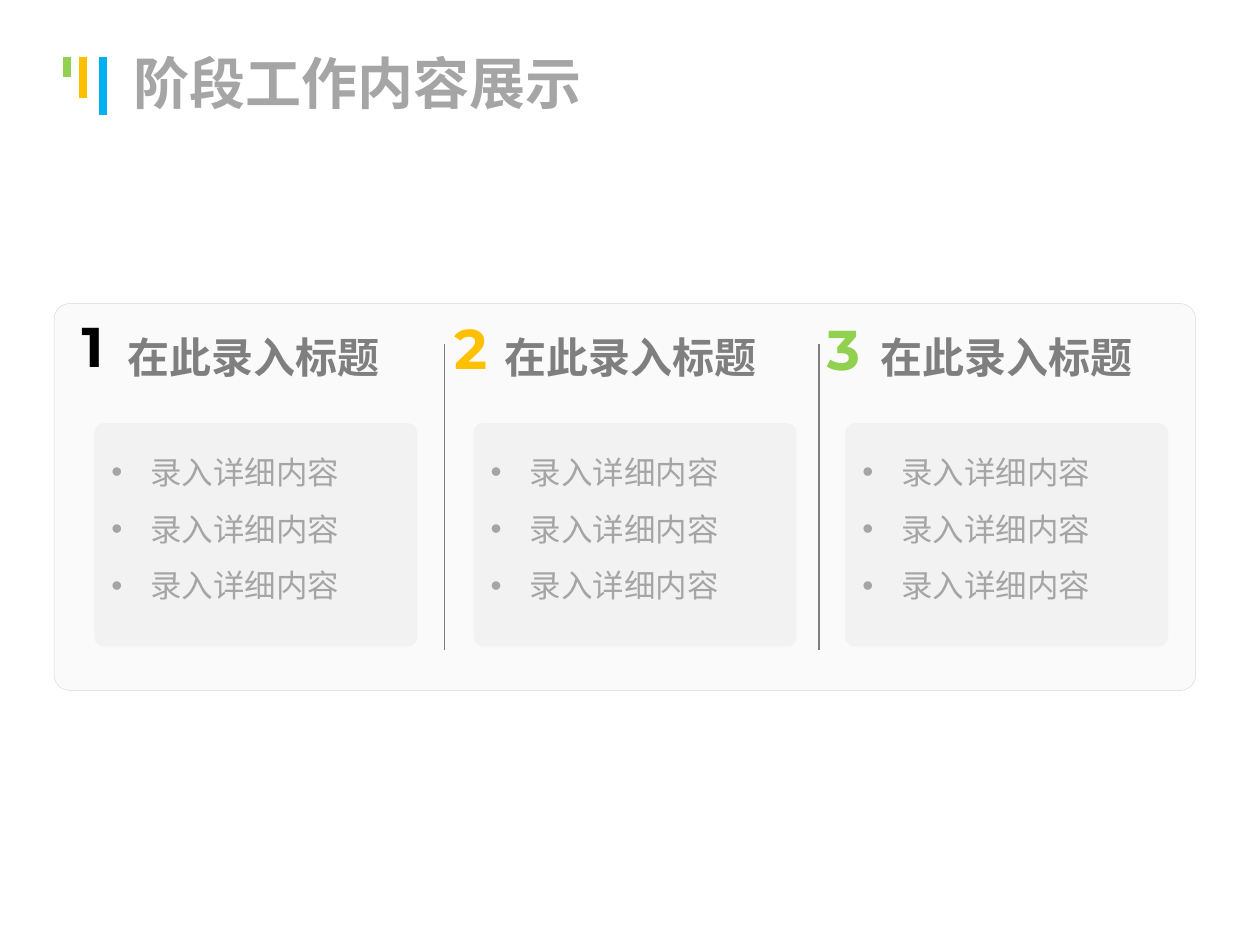
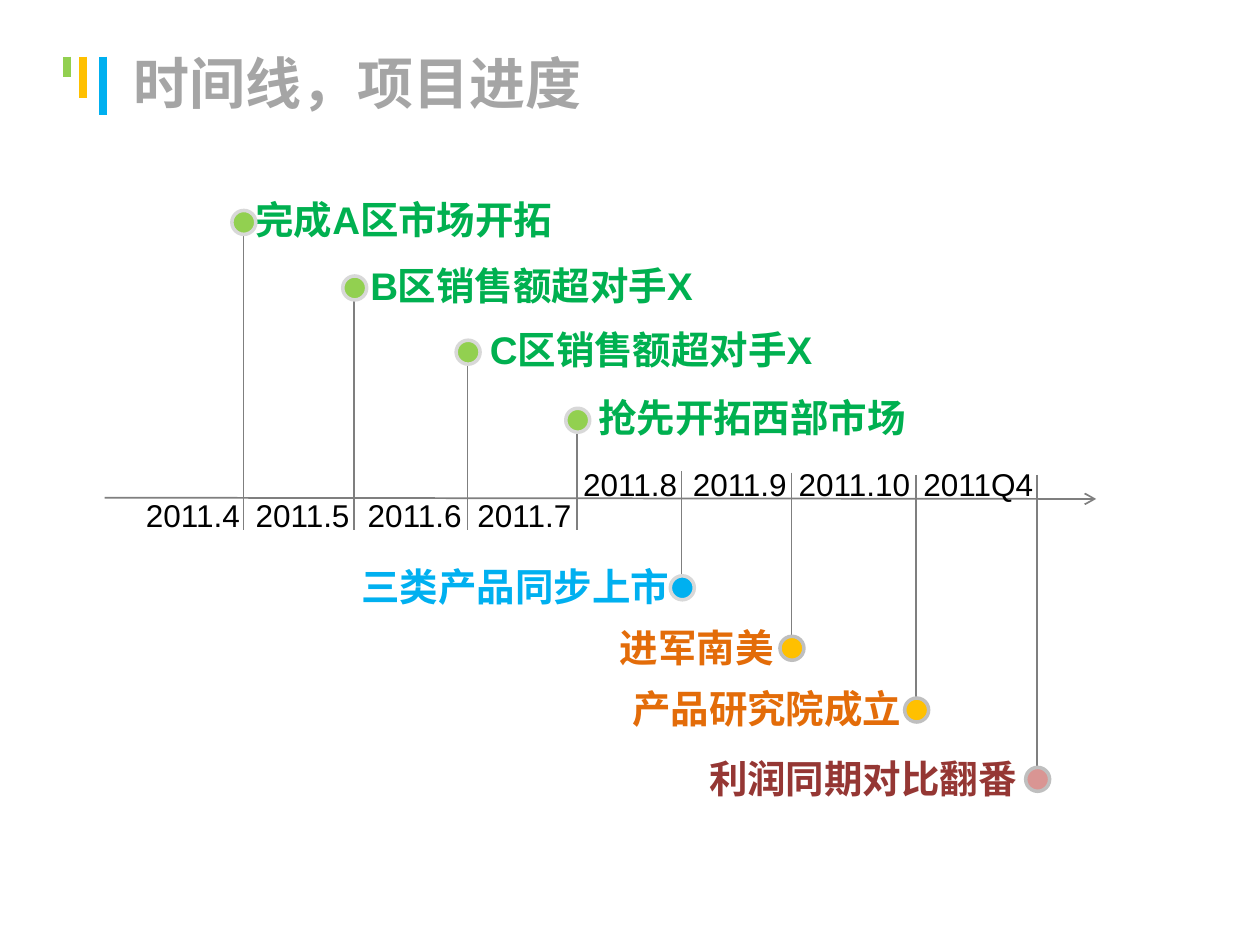
from lxml import etree
from pptx import Presentation
from pptx.dml.color import RGBColor
from pptx.enum.shapes import MSO_CONNECTOR as CONN, MSO_SHAPE as SHAPE
from pptx.enum.text import MSO_ANCHOR as ANCHOR, PP_ALIGN as ALIGN
from pptx.oxml.ns import qn
from pptx.util import Pt

PX = 9144
CJK = "Noto Sans CJK SC"
GREEN, AMBER, BLUE = "92D050", "FFC000", "00B0F0"
GREY, DARK, PALE, RING, RING_DARK = "A5A5A5", "7F7F7F", "F2F2F2", "D8D8D8", "BFBFBF"
LEAF, ORANGE, MAROON, BLACK = "00B050", "E36C09", "953734", "000000"
rgb = RGBColor.from_string


def box(s, at, text="", size=18, color=BLACK, bold=False, font=CJK, align=ALIGN.LEFT,
        anchor=ANCHOR.TOP, wrap=True, geom=None, fill=None, edge=None, weight=0):
    at = [v * PX for v in at]
    if geom is None:
        sp = s.shapes.add_textbox(*at)
    else:
        sp = s.shapes.add_shape(geom, *at)
        sp.shadow.inherit = False
        sp.fill.solid()
        sp.fill.fore_color.rgb = rgb(fill)
        sp.line.color.rgb = rgb(edge)
        sp.line.width = Pt(weight)
    tf = sp.text_frame
    tf.word_wrap = wrap
    tf.vertical_anchor = anchor
    if text:
        tf.text = text
    for p in tf.paragraphs:
        p.alignment = align
        for r in p.runs:
            r.font.size = Pt(size)
            r.font.bold = bold
            r.font.color.rgb = rgb(color)
            r.font.name = font
            etree.SubElement(r.font._element, qn("a:ea"), typeface=CJK)
    return sp


def line(s, x1, y1, x2, y2, color=DARK, weight=0.75):
    c = s.shapes.add_connector(CONN.STRAIGHT, x1 * PX, y1 * PX, x2 * PX, y2 * PX)
    c.line.color.rgb = rgb(color)
    c.line.width = Pt(weight)
    etree.SubElement(c._element.spPr, qn("a:effectLst"))
    return c


prs = Presentation()
prs.slide_width = 1000 * PX
prs.slide_height = 750 * PX

slides = []
for title in ("阶段工作内容展示", "时间线，项目进度"):
    s = prs.slides.add_slide(prs.slide_layouts[6])
    for x, bottom, color in ((82, 91, BLUE), (66, 78, AMBER), (53, 61, GREEN)):
        line(s, x, 45, x, bottom, color, 4.5)
    box(s, (96, 3, 900, 125), title, 32, GREY, True, anchor=ANCHOR.MIDDLE)
    slides.append(s)
stages, timeline = slides

card = box(stages, (43, 241, 906, 307), geom=SHAPE.ROUNDED_RECTANGLE,
           fill=PALE, edge=RING, weight=0.25)
card.adjustments[0] = 0.04
tint = card._element.spPr.find(qn("a:solidFill"))[0]
etree.SubElement(tint, qn("a:alpha"), val="32000")

columns = (
    ("1", BLACK, 50, 242, 77),
    ("2", AMBER, 350, 244, 378),
    ("3", GREEN, 646, 245, 673),
)
for i, (number, color, number_x, number_y, panel_x) in enumerate(columns):
    box(stages, (75 + 299 * i, 258, 252, 56), "在此录入标题", 24, DARK, True,
        align=ALIGN.CENTER)
    panel = box(stages, (panel_x, 338, 252, 173), "\n".join(["录入详细内容"] * 3), 18, GREY,
                geom=SHAPE.ROUNDED_RECTANGLE, fill=PALE, edge=PALE, weight=3)
    panel.adjustments[0] = 0.03
    for p in panel.text_frame.paragraphs:
        p.line_spacing = 1.5
        pPr = p._p.get_or_add_pPr()
        pPr.set("marL", str(31 * PX))
        pPr.set("indent", str(-31 * PX))
        bullet_color = etree.SubElement(pPr, qn("a:buClr"))
        etree.SubElement(bullet_color, qn("a:srgbClr"), val=GREY)
        etree.SubElement(pPr, qn("a:buFont"), typeface="Arial")
        etree.SubElement(pPr, qn("a:buChar"), char="•")
    box(stages, (number_x, number_y, 47, 64), number, 32, color, True, "Montserrat",
        ALIGN.CENTER, wrap=False)
for x in (353, 650):
    line(stages, x, 273, x, 516)

axis = line(timeline, 83, 395, 870, 396, weight=1)
etree.SubElement(axis.line._get_or_add_ln(), qn("a:tailEnd"), type="arrow")

above = (
    ("2011.4", 106, 193, 167, "完成A区市场开拓", 193),
    ("2011.5", 193, 281, 219, "B区销售额超对手X", 284),
    ("2011.6", 282, 371, 270, "C区销售额超对手X", 379),
    ("2011.7", 369, 458, 324, "抢先开拓西部市场", 465),
)
for date, date_x, x, y, event, event_x in above:
    line(timeline, x, y + 18, x, 421)
    box(timeline, (event_x, y - 16, 319, 47), event, 22, LEAF, True, "Arial")
    box(timeline, (x - 9, y, 19, 19), geom=SHAPE.FLOWCHART_CONNECTOR,
        fill=GREEN, edge=RING, weight=2)
    box(timeline, (date_x, 389, 118, 40), date, font="Arial")

below = (
    ("2011.8", 453, 541, 374, 457, "三类产品同步上市", 277, 269, BLUE, BLUE, RING),
    ("2011.9", 540, 628, 375, 505, "进军南美", 482, 152, ORANGE, AMBER, RING_DARK),
    ("2011.10", 624, 727, 377, 554, "产品研究院成立", 492, 244, ORANGE, AMBER, RING_DARK),
    ("2011Q4", 723, 823, 377, 609, "利润同期对比翻番", 553, 293, MAROON, "D99593", RING_DARK),
)
for date, date_x, x, top, y, event, event_x, event_w, color, dot, ring in below:
    line(timeline, x, top, x, y + 9)
    box(timeline, (event_x, y - 15, event_w, 47), event, 22, color, True, "Arial")
    box(timeline, (x - 9, y, 19, 19), geom=SHAPE.FLOWCHART_CONNECTOR,
        fill=dot, edge=ring, weight=2)
    box(timeline, (date_x, 364, 120, 40), date, font="Arial")

prs.save("out.pptx")
